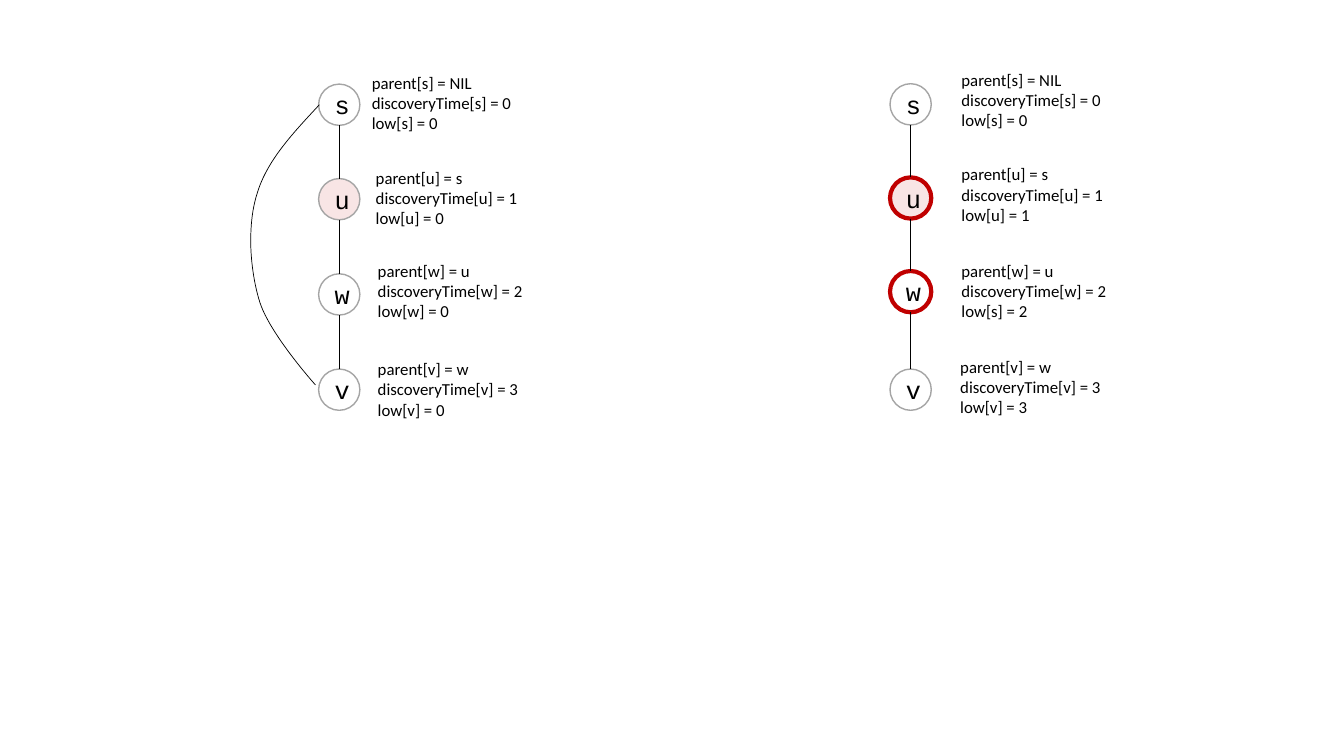
from itertools import pairwise

from lxml.etree import SubElement
from pptx import Presentation
from pptx.dml.color import RGBColor
from pptx.enum.shapes import MSO_CONNECTOR as Connector, MSO_SHAPE as Shape
from pptx.enum.text import MSO_ANCHOR as Anchor, MSO_AUTO_SIZE as AutoSize, PP_ALIGN as Align
from pptx.oxml.ns import qn
from pptx.util import Cm, Pt

COLORS = {"ink": "000000", "paper": "FFFFFF", "ring": "A5A5A5", "accent": "C00000"}
NODE_SIZE = 1.04
LABEL_HEIGHT = 1.8
CURVE_STEPS = 24

# node, parent, discovery time, low owner, low, node top, label left, label top, label width
CYCLE_ROWS = [
    ("s", "NIL", 0, "s", 0, 2.12, 9.12, 1.7, 6.02),
    ("u", "s", 1, "u", 0, 4.5, 9.22, 4.09, 5.59),
    ("w", "u", 2, "w", 0, 6.9, 9.27, 6.45, 5.18),
    ("v", "w", 3, "v", 0, 9.3, 9.27, 8.92, 5.54),
]
PATH_ROWS = [
    ("s", "NIL", 0, "s", 0, 2.11, 23.98, 1.63, 7.16),
    ("u", "s", 1, "u", 1, 4.47, 23.98, 4.01, 7.16),
    ("w", "u", 2, "s", 2, 6.83, 23.98, 6.45, 7.16),
    ("v", "w", 3, "v", 3, 9.3, 23.95, 8.86, 7.16),
]
BACK_EDGE = [
    [(8.05, 2.64), (7.39, 3.35), (6.73, 4.04), (6.48, 4.88)],
    [(6.48, 4.88), (6.22, 5.69), (6.3, 6.83), (6.55, 7.62)],
    [(6.55, 7.62), (6.81, 8.43), (7.95, 9.7), (7.95, 9.7)],
]


def bezier_points(controls):
    """Sample a cubic Bezier, leaving out its first point."""
    for step in range(1, CURVE_STEPS + 1):
        t = step / CURVE_STEPS
        weights = ((1 - t) ** 3, 3 * t * (1 - t) ** 2, 3 * t * t * (1 - t), t ** 3)
        yield tuple(Cm(sum(w * point[axis] for w, point in zip(weights, controls)))
                    for axis in (0, 1))


class TreeDrawer:
    def __init__(self, slide):
        self.slide = slide
        self.shapes = slide.shapes

    def start_group(self):
        self.shapes = self.slide.shapes.add_group_shape().shapes

    def color(self, name):
        return RGBColor.from_string(COLORS[name])

    def style_line(self, line, name="ink", width=0.5):
        line.color.rgb = self.color(name)
        line.width = Pt(width)

    def style_text(self, paragraph, font_name, size):
        paragraph.font.name = font_name
        paragraph.font.size = Pt(size)
        paragraph.font.color.rgb = self.color("ink")

    def node(self, letter, left, top, tinted, cut):
        circle = self.shapes.add_shape(
            Shape.OVAL, Cm(left), Cm(top), Cm(NODE_SIZE), Cm(NODE_SIZE))
        circle.shadow.inherit = False
        circle.fill.solid()
        circle.fill.fore_color.rgb = self.color("accent" if tinted else "paper")
        if tinted:
            tint = circle.element.spPr.find(qn("a:solidFill"))[0]
            SubElement(tint, qn("a:alpha"), val="10000")
        self.style_line(circle.line, *(("accent", 3) if cut else ("ring", 1)))
        frame = circle.text_frame
        frame.text = letter
        frame.vertical_anchor = Anchor.MIDDLE
        frame.paragraphs[0].alignment = Align.CENTER
        self.style_text(frame.paragraphs[0], "Courier New", 18)

    def edge(self, x, top, bottom):
        line = self.shapes.add_connector(
            Connector.STRAIGHT, Cm(x), Cm(top), Cm(x), Cm(bottom))
        self.style_line(line.line)
        SubElement(line.element.spPr, qn("a:effectLst"))

    def curve(self, segments):
        start_x, start_y = segments[0][0]
        builder = self.shapes.build_freeform(Cm(start_x), Cm(start_y))
        for controls in segments:
            builder.add_line_segments(bezier_points(controls), close=False)
        outline = builder.convert_to_shape()
        outline.shadow.inherit = False
        outline.fill.background()
        self.style_line(outline.line)

    def label(self, lines, left, top, width):
        box = self.shapes.add_textbox(Cm(left), Cm(top), Cm(width), Cm(LABEL_HEIGHT))
        frame = box.text_frame
        frame.word_wrap = True
        frame.auto_size = AutoSize.SHAPE_TO_FIT_TEXT
        frame.text = "\n".join(lines)
        for paragraph in frame.paragraphs:
            self.style_text(paragraph, "Calibri", 12)

    def tree(self, rows, node_left, cut_nodes=""):
        """Draw a chain of nodes; cut_nodes get a thick red ring."""
        self.start_group()
        for node, parent, time, low_owner, low, top, *label_place in rows:
            self.node(node, node_left, top, node == "u", node in cut_nodes)
            self.label([f"parent[{node}] = {parent}",
                        f"discoveryTime[{node}] = {time}",
                        f"low[{low_owner}] = {low}"], *label_place)
        for upper, lower in pairwise(row[5] for row in rows):
            self.edge(node_left + NODE_SIZE / 2, upper + NODE_SIZE, lower)


def main():
    deck = Presentation()
    deck.slide_width, deck.slide_height = Cm(33.87), Cm(19.05)
    drawer = TreeDrawer(deck.slides.add_slide(deck.slide_layouts[6]))
    drawer.tree(CYCLE_ROWS, 8.03)
    drawer.curve(BACK_EDGE)
    drawer.tree(PATH_ROWS, 22.43, cut_nodes="uw")
    deck.save("out.pptx")


if __name__ == "__main__":
    main()
